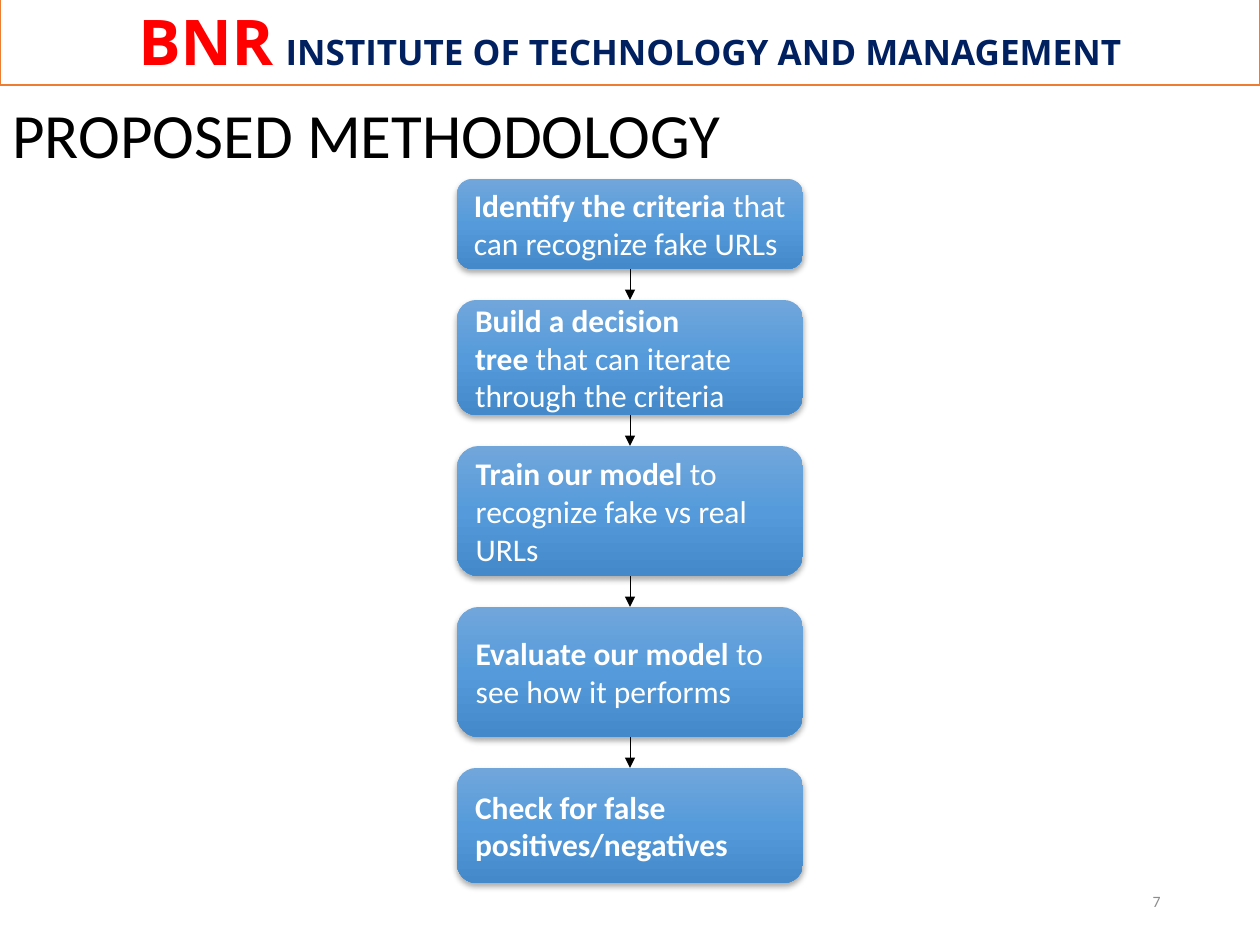
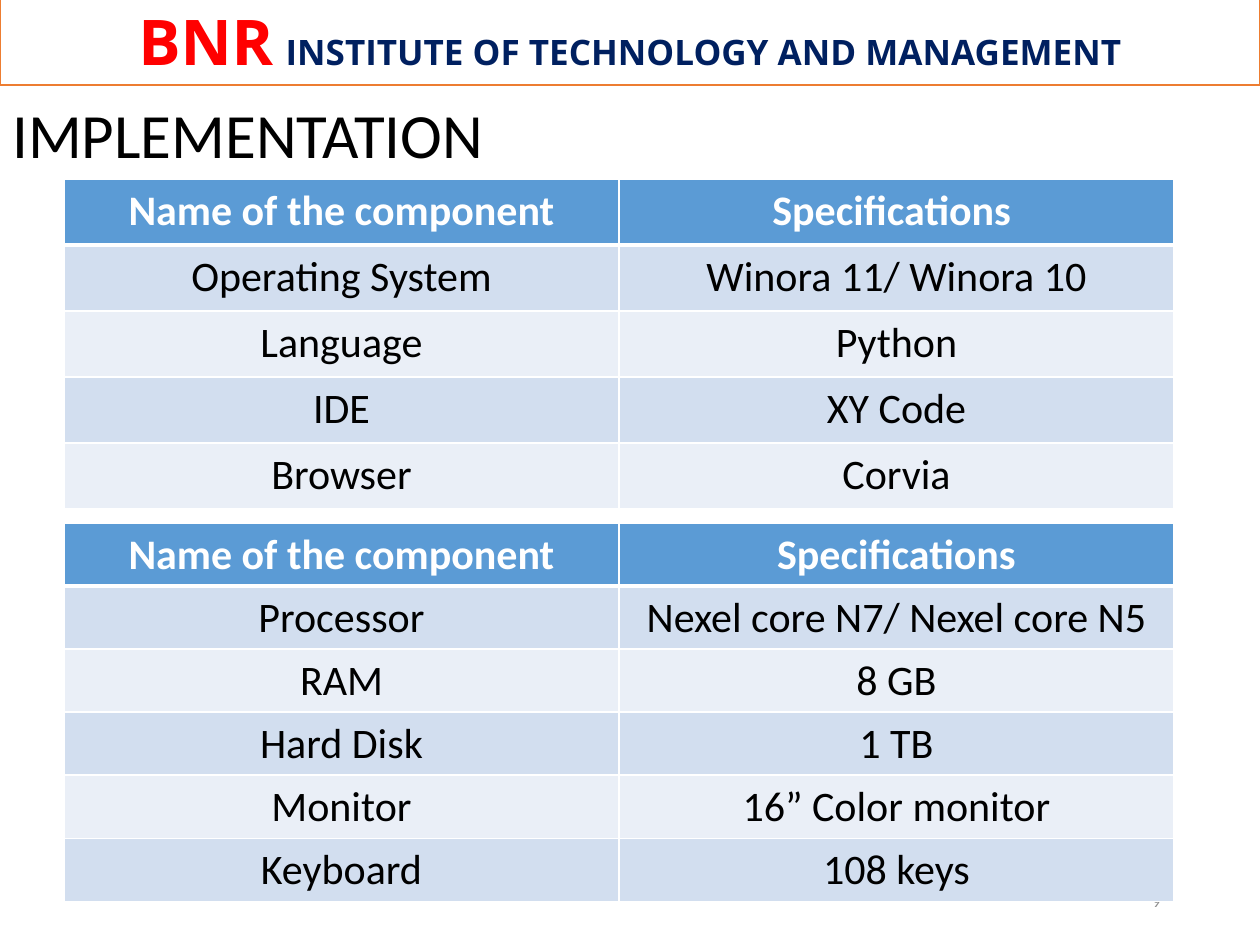
from lxml.etree import SubElement
from pptx import Presentation
from pptx.dml.color import RGBColor
from pptx.enum.shapes import MSO_CONNECTOR, MSO_SHAPE
from pptx.enum.text import MSO_ANCHOR, PP_ALIGN
from pptx.oxml.ns import qn
from pptx.util import Pt

RECT, ROUND = MSO_SHAPE.RECTANGLE, MSO_SHAPE.ROUNDED_RECTANGLE
LINE = MSO_CONNECTOR.STRAIGHT
TOP, MID = MSO_ANCHOR.TOP, MSO_ANCHOR.MIDDLE
LEFT, MID_X, RIGHT = PP_ALIGN.LEFT, PP_ALIGN.CENTER, PP_ALIGN.RIGHT

# Content
NBSP = chr(160)
SCHOOL = ("BNR", "INSTITUTE OF TECHNOLOGY AND MANAGEMENT")
# Each step: bold lead, plain rest, height in px
STEPS = [
    ("Identify the criteria", "that can recognize fake URLs", 90),
    ("Build a decision tree", "that can iterate through the criteria", 115),
    ("Train our model", "to recognize fake vs real URLs", 130),
    ("Evaluate our model", "to see how it performs", 130),
    ("Check for false positives/negatives", "", 115),
]
SOFT = [
    ("Name of the component", "Specifications "),
    ("Operating System", "Winora 11/ Winora 10"),
    ("Language", "Python"),
    ("IDE", "XY Code"),
    ("Browser", "Corvia"),
]
HARD = [
    ("Name of the component", "Specifications"),
    ("Processor", "Nexel core N7/ Nexel core N5"),
    ("RAM", "8 GB"),
    ("Hard Disk", "1 TB"),
    ("Monitor", "16” Color monitor"),
    ("Keyboard", "108 keys"),
]

# Look
INK = {
    "white": "FFFFFF", "black": "000000", "red": "FF0000", "navy": "002060",
    "frame": "ED7D31", "edge": "5093CF", "grey": "8C8C8C",
    "head": "5B9BD5", "odd": "D2DEEF", "even": "EAEFF7",
}
FADE = [(0, "71A6DB"), (50, "559BDB"), (100, "448ACA")]
BODY, BRAND = "Calibri", "Open Sans"
WIDE, HIGH = 1260, 945
STEP_X, STEP_Y, STEP_W, GAP = 457, 179, 346, 31
GRID_X, COL_W = 64, 555


def px(n):
    return round(n * 914400 / 126)


def tint(name):
    return RGBColor.from_string(INK[name])


def sub(node, tag, **attrs):
    return SubElement(node, qn("a:" + tag), attrs)


def paint(node, name):
    sub(sub(node, "solidFill"), "srgbClr", val=INK[name])


def add_run(para, text, size, ink, bold=False, font=BODY):
    run = para.add_run()
    run.text = text
    run.font.size, run.font.bold, run.font.name = Pt(size), bold, font
    run.font.color.rgb = tint(ink)
    return run


def set_up(shape, align, anchor):
    frame = shape.text_frame
    frame.word_wrap = True
    frame.vertical_anchor = anchor
    para = frame.paragraphs[0]
    para.alignment = align
    return para


def add_box(slide, x, y, w, h, align=LEFT, anchor=TOP):
    box = slide.shapes.add_textbox(px(x), px(y), px(w), px(h))
    return set_up(box, align, anchor)


def add_base(deck, title, width, page):
    slide = deck.slides.add_slide(deck.slide_layouts[6])
    # Header band
    band = slide.shapes.add_shape(RECT, 0, px(-4), px(WIDE), px(89))
    band.shadow.inherit = False
    band.fill.solid()
    band.fill.fore_color.rgb = tint("white")
    band.line.color.rgb = tint("frame")
    band.line.width = Pt(1)
    para = set_up(band, MID_X, TOP)
    para.space_after = Pt(2)
    name = add_run(para, SCHOOL[0], 36, "red", True, BRAND)
    add_run(para, " ", 27, "red", True, BRAND)
    add_run(para, SCHOOL[1], 20, "navy", True, BRAND)
    props = name._r.get_or_add_rPr()
    edge = sub(props, "ln", w=str(Pt(0.83)))
    paint(edge, "edge")
    props.insert(0, edge)
    # Page number and title
    foot = add_box(slide, 890, 876, 283, 50, RIGHT, MID)
    add_run(foot, str(page), 9, "grey")
    add_run(add_box(slide, 0, 89, width, 89), title, 36, "black")
    return slide


def add_step(slide, y, h, lead, rest):
    box = slide.shapes.add_shape(ROUND, px(STEP_X), px(y), px(STEP_W), px(h))
    box.line.fill.background()
    # Three-stop fade, running downwards
    box.fill.gradient()
    box.fill.gradient_angle = 270
    stops = box.element.spPr.find(".//" + qn("a:gsLst"))
    for stop in list(stops):
        stops.remove(stop)
    for pos, shade in FADE:
        sub(sub(stops, "gs", pos=str(pos * 1000)), "srgbClr", val=shade)
    # Soft shadow below
    box.shadow.inherit = False
    cast = sub(box.element.spPr.find(qn("a:effectLst")), "outerShdw",
               blurRad=str(Pt(3.5)), dist=str(Pt(2.2)), dir="5400000",
               algn="ctr", rotWithShape="0")
    sub(sub(cast, "srgbClr", val=INK["black"]), "alpha", val="32000")
    para = set_up(box, LEFT, MID)
    # A slim right margin lets the longest line fit
    box.text_frame.margin_right = px(9)
    add_run(para, lead, 18, "white", True)
    if rest:
        add_run(para, NBSP + rest, 18, "white")


def add_arrow(slide, y):
    x = px(WIDE / 2)
    link = slide.shapes.add_connector(LINE, x, px(y), x, px(y + GAP))
    link.line.color.rgb = tint("black")
    link.line.width = Pt(0.5)
    sub(link.line._get_or_add_ln(), "tailEnd", type="triangle")
    sub(link._element.spPr, "effectLst")


def add_grid(slide, rows, y, row_h):
    grid = slide.shapes.add_table(
        len(rows), 2, px(GRID_X), px(y), px(2 * COL_W),
        px(row_h * len(rows))).table
    grid.first_row = grid.horz_banding = False
    for i, row in enumerate(rows):
        grid.rows[i].height = px(row_h)
        back = "head" if i == 0 else "odd" if i % 2 else "even"
        for j, text in enumerate(row):
            cell = grid.cell(i, j)
            # White rules, thick under the head row
            props = cell._tc.get_or_add_tcPr()
            thick = {"lnB": i == 0, "lnT": i == 1}
            for side in ("lnL", "lnR", "lnT", "lnB"):
                width = Pt(3 if thick.get(side) else 1)
                paint(sub(props, side, w=str(width)), "white")
            cell.fill.solid()
            cell.fill.fore_color.rgb = tint(back)
            para = cell.text_frame.paragraphs[0]
            para.alignment = MID_X
            add_run(para, text, 24, "black" if i else "white", i == 0)


def main():
    deck = Presentation()
    deck.slide_width, deck.slide_height = px(WIDE), px(HIGH)

    # Method: a chain of steps
    slide = add_base(deck, "PROPOSED METHODOLOGY", 740, 7)
    y = STEP_Y
    for i, (lead, rest, h) in enumerate(STEPS):
        if i:
            add_arrow(slide, y - GAP)
        add_step(slide, y, h, lead, rest)
        y += h + GAP

    # Tools: software and hardware
    slide = add_base(deck, "IMPLEMENTATION", 503, 9)
    add_grid(slide, SOFT, 179, 66)
    add_grid(slide, HARD, 523, 63)

    deck.save("out.pptx")


if __name__ == "__main__":
    main()
